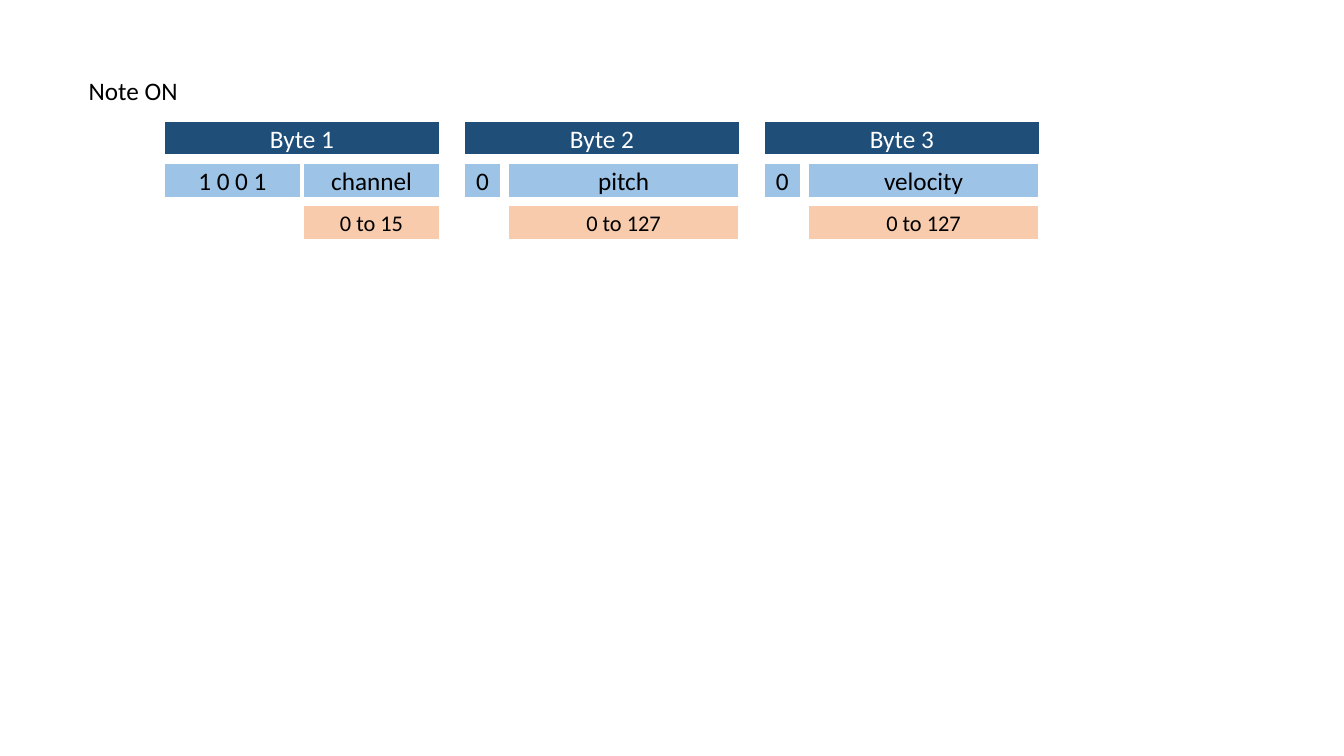
from dataclasses import dataclass

from pptx import Presentation, util as u
from pptx.dml.color import RGBColor
from pptx.enum import shapes, text


@dataclass(frozen=True)
class Theme:
    font: str = "Calibri"
    head: str = "1F4E79"
    field: str = "9DC3E6"
    span: str = "F8CBAD"
    dark: str = "000000"
    light: str = "FFFFFF"
    body: int = 18
    small: int = 16


@dataclass(frozen=True)
class Grid:
    """Byte columns and rows, in inches."""
    left: float = 1.63
    top: float = 1.2
    step: float = (7.58 - 1.63) / 2
    row: float = 0.42
    width: float = 2.73
    height: float = 0.34


@dataclass(frozen=True)
class Part:
    """A bit field, placed from the left edge of its byte."""
    label: str
    left: float
    width: float
    span: str = ""


THEME = Theme()
GRID = Grid()
BYTES = [
    [Part("1 0 0 1", 0, 1.35), Part("channel", 1.38, 1.35, "0 to 15")],
    [Part("0", 0, 0.36), Part("pitch", 0.44, 2.28, "0 to 127")],
    [Part("0", 0, 0.36), Part("velocity", 0.44, 2.28, "0 to 127")],
]


def write(shape, words: str, *, size: int = THEME.body,
          color: str = THEME.dark, align=text.PP_ALIGN.CENTER,
          anchor=text.MSO_ANCHOR.MIDDLE, wrap: bool = True) -> None:
    frame = shape.text_frame
    frame.text = words
    frame.word_wrap = wrap
    frame.vertical_anchor = anchor
    para = frame.paragraphs[0]
    para.alignment = align
    font = para.runs[0].font
    font.name, font.size = THEME.font, u.Pt(size)
    font.color.rgb = RGBColor.from_string(color)


def draw_box(slide, col: int, row: int, words: str, fill: str,
             left: float = 0, width: float = GRID.width, **style) -> None:
    """Draw a filled cell, offset by left within its byte column."""
    box = slide.shapes.add_shape(
        shapes.MSO_SHAPE.RECTANGLE,
        u.Inches(GRID.left + col * GRID.step + left),
        u.Inches(GRID.top + row * GRID.row),
        u.Inches(width), u.Inches(GRID.height))
    box.shadow.inherit = False
    box.fill.solid()
    box.fill.fore_color.rgb = RGBColor.from_string(fill)
    box.line.color.rgb = RGBColor.from_string(THEME.light)
    box.line.width = u.Pt(1)
    write(box, words, **style)


def draw_title(slide, words: str) -> None:
    title = slide.shapes.title
    title.left, title.top = u.Inches(0.78), u.Inches(0.7)
    title.width, title.height = u.Inches(1.09), u.Inches(0.4)
    write(title, words, align=text.PP_ALIGN.LEFT,
          anchor=text.MSO_ANCHOR.TOP, wrap=False)
    title.text_frame.auto_size = text.MSO_AUTO_SIZE.SHAPE_TO_FIT_TEXT


def main() -> None:
    deck = Presentation()
    deck.slide_width, deck.slide_height = u.Inches(13.33), u.Inches(7.5)
    slide = deck.slides.add_slide(deck.slide_layouts.get_by_name("Title Only"))
    draw_title(slide, "Note ON")
    for col, parts in enumerate(BYTES):
        draw_box(slide, col, 0, f"Byte {col + 1}", THEME.head,
                 color=THEME.light)
        for part in parts:
            draw_box(slide, col, 1, part.label, THEME.field,
                     part.left, part.width)
            if part.span:
                draw_box(slide, col, 2, part.span, THEME.span,
                         part.left, part.width, size=THEME.small)
    deck.save("out.pptx")


if __name__ == "__main__":
    main()
